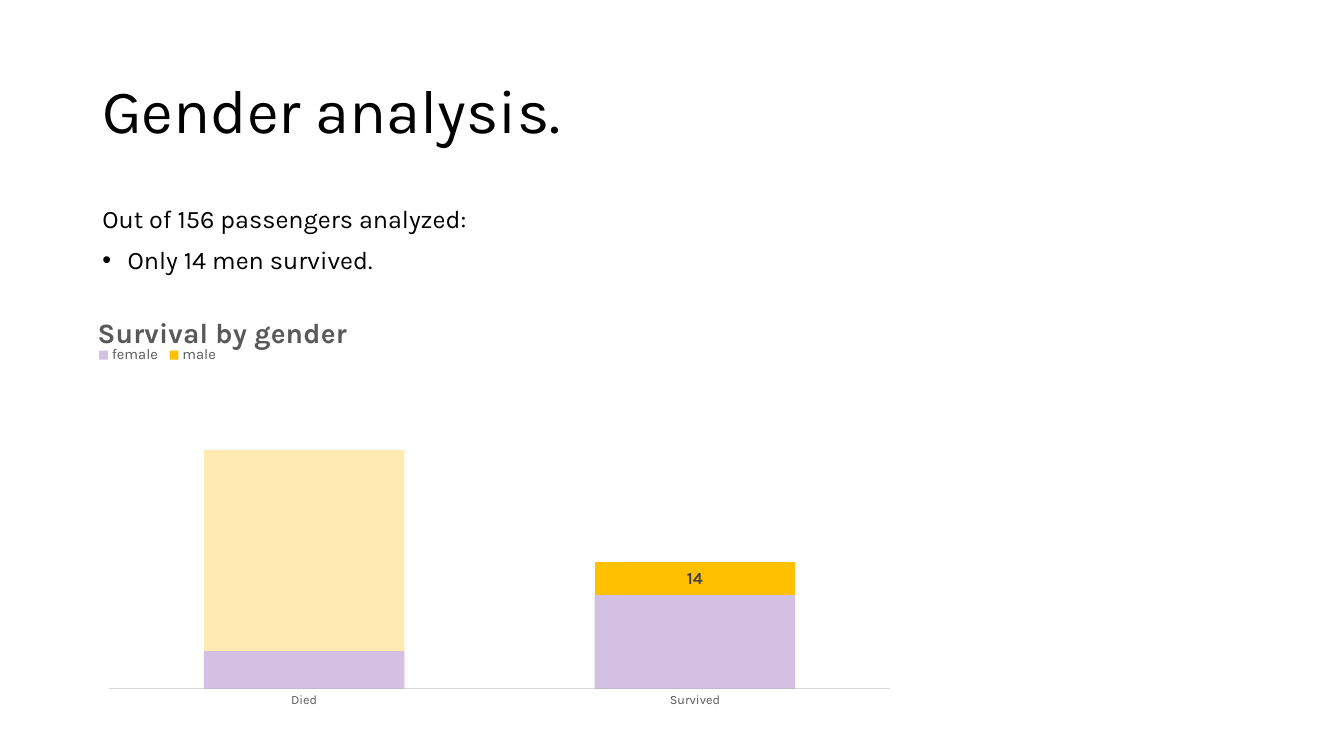
from dataclasses import dataclass

from lxml import etree
from pptx import Presentation
from pptx.chart.data import CategoryChartData
from pptx.dml.color import RGBColor
from pptx.enum.chart import XL_CHART_TYPE, XL_LEGEND_POSITION, XL_TICK_LABEL_POSITION, XL_TICK_MARK
from pptx.enum.text import MSO_ANCHOR
from pptx.oxml import parse_xml
from pptx.oxml.ns import nsdecls, qn
from pptx.util import Cm, Pt

STACKED = XL_CHART_TYPE.COLUMN_STACKED
LEGEND_TOP = XL_LEGEND_POSITION.TOP
LABELS_NEXT = XL_TICK_LABEL_POSITION.NEXT_TO_AXIS
NO_TICK = XL_TICK_MARK.NONE
TOP, MIDDLE = MSO_ANCHOR.TOP, MSO_ANCHOR.MIDDLE


@dataclass(frozen=True)
class Theme:
    font: str = "Karla"
    text: str = "000000"
    muted: str = "595959"
    label: str = "404040"
    axis: str = "D9D9D9"
    female: str = "7030A0"
    male: str = "FFC000"
    faded: int = 30
    title_size: float = 44
    body_size: float = 18
    chart_title_size: float = 20
    label_size: float = 12
    legend_size: float = 10.5
    chart_size: float = 10
    axis_size: float = 9


THEME = Theme()


def style_font(font, size, color, bold=False):
    font.name = THEME.font
    font.size = Pt(size)
    font.bold = bold
    font.color.rgb = RGBColor.from_string(color)


def add_bullet(paragraph, indent):
    properties = paragraph._p.get_or_add_pPr()
    properties.set("marL", str(indent))
    properties.set("indent", str(-indent))
    etree.SubElement(properties, qn("a:buFont")).set("typeface", "Arial")
    etree.SubElement(properties, qn("a:buChar")).set("char", "•")


def add_text(slide, box, lines, size, color=THEME.text, anchor=TOP, space_before=0, bulleted=()):
    frame = slide.shapes.add_textbox(*box).text_frame
    frame.word_wrap = True
    frame.vertical_anchor = anchor
    for index, line in enumerate(lines):
        paragraph = frame.add_paragraph() if index else frame.paragraphs[0]
        paragraph.line_spacing = 0.9
        paragraph.space_before = Pt(space_before)
        run = paragraph.add_run()
        run.text = line
        style_font(run.font, size, color)
        if index in bulleted:
            add_bullet(paragraph, Cm(0.64))


def fill_solid(fill, color, opacity=100):
    fill.solid()
    fill.fore_color.rgb = RGBColor.from_string(color)
    if opacity < 100:
        color_element = fill._xPr.find(qn("a:solidFill"))[0]
        etree.SubElement(color_element, qn("a:alpha")).set("val", str(opacity * 1000))


def place_in_chart(element, index, inner=False, **fractions):
    for layout in element.findall(qn("c:layout")):
        element.remove(layout)
    target = '<c:layoutTarget val="inner"/>' if inner else ""
    modes = "".join(f'<c:{name}Mode val="edge"/>' for name in "xy")
    values = "".join(f'<c:{name} val="{value}"/>' for name, value in fractions.items())
    element.insert(index, parse_xml(
        f'<c:layout {nsdecls("c")}><c:manualLayout>{target}{modes}{values}'
        "</c:manualLayout></c:layout>"))


def style_axes(chart):
    category_axis = chart.category_axis
    category_axis.major_tick_mark = NO_TICK
    category_axis.minor_tick_mark = NO_TICK
    category_axis.tick_label_position = LABELS_NEXT
    category_axis.format.line.color.rgb = RGBColor.from_string(THEME.axis)
    category_axis.format.line.width = Pt(0.75)
    style_font(category_axis.tick_labels.font, THEME.axis_size, THEME.muted)
    value_axis = chart.value_axis
    value_axis.minimum_scale = 0
    value_axis.maximum_scale = 120
    value_axis.has_major_gridlines = False
    value_axis.visible = False


def style_title_and_legend(chart):
    chart.has_title = True
    title = chart.chart_title
    title.include_in_layout = False
    run = title.text_frame.paragraphs[0].add_run()
    run.text = "Survival by gender"
    style_font(run.font, THEME.chart_title_size, THEME.muted, bold=True)
    place_in_chart(title._element, 1, x=-0.002, y=-0.007)
    chart.has_legend = True
    legend = chart.legend
    legend.position = LEGEND_TOP
    legend.include_in_layout = False
    style_font(legend.font, THEME.legend_size, THEME.muted)
    place_in_chart(legend._element, 1, x=0.0, y=0.08, w=0.16, h=0.07)


def hide_label(labels, index):
    labels._element.insert(0, parse_xml(
        f'<c:dLbl {nsdecls("c")}><c:idx val="{index}"/><c:delete val="1"/></c:dLbl>'))


def style_series(plot):
    female, male = plot.series
    fill_solid(female.format.fill, THEME.female, THEME.faded)
    fill_solid(male.format.fill, THEME.male)
    fill_solid(male.points[0].format.fill, THEME.male, THEME.faded)
    labels = male.data_labels
    labels.show_value = True
    style_font(labels.font, THEME.label_size, THEME.label, bold=True)
    hide_label(labels, 0)


def add_survival_chart(slide, box):
    data = CategoryChartData()
    data.categories = ["Died", "Survived"]
    data.add_series("female", (16, 40))
    data.add_series("male", (86, 14))
    chart = slide.shapes.add_chart(STACKED, *box, data).chart
    style_font(chart.font, THEME.chart_size, THEME.text)
    plot = chart.plots[0]
    plot.gap_width = 95
    plot.overlap = 100
    plot.vary_by_categories = False
    style_axes(chart)
    style_title_and_legend(chart)
    style_series(plot)
    plot_area = chart._chartSpace.find(f'{qn("c:chart")}/{qn("c:plotArea")}')
    place_in_chart(plot_area, 0, inner=True, x=0.02, y=0.244, w=0.96, h=0.69)


def add_gender_slide(presentation, left, width):
    slide = presentation.slides.add_slide(presentation.slide_layouts[6])
    add_text(slide, (left, Cm(1.02), width, Cm(3.68)), ["Gender analysis."],
             THEME.title_size, anchor=MIDDLE)
    add_text(slide, (left, Cm(5.08), width, Cm(2.4)),
             ["Out of 156 passengers analyzed:", "Only 14 men survived."],
             THEME.body_size, space_before=10, bulleted=(1,))
    add_survival_chart(slide, (left, Cm(7.77), Cm(20.52), Cm(10.26)))


def main():
    presentation = Presentation()
    presentation.slide_width = Cm(33.87)
    presentation.slide_height = Cm(19.05)
    margin = Cm(2.33)
    add_gender_slide(presentation, margin, presentation.slide_width - 2 * margin)
    presentation.save("out.pptx")


if __name__ == "__main__":
    main()
